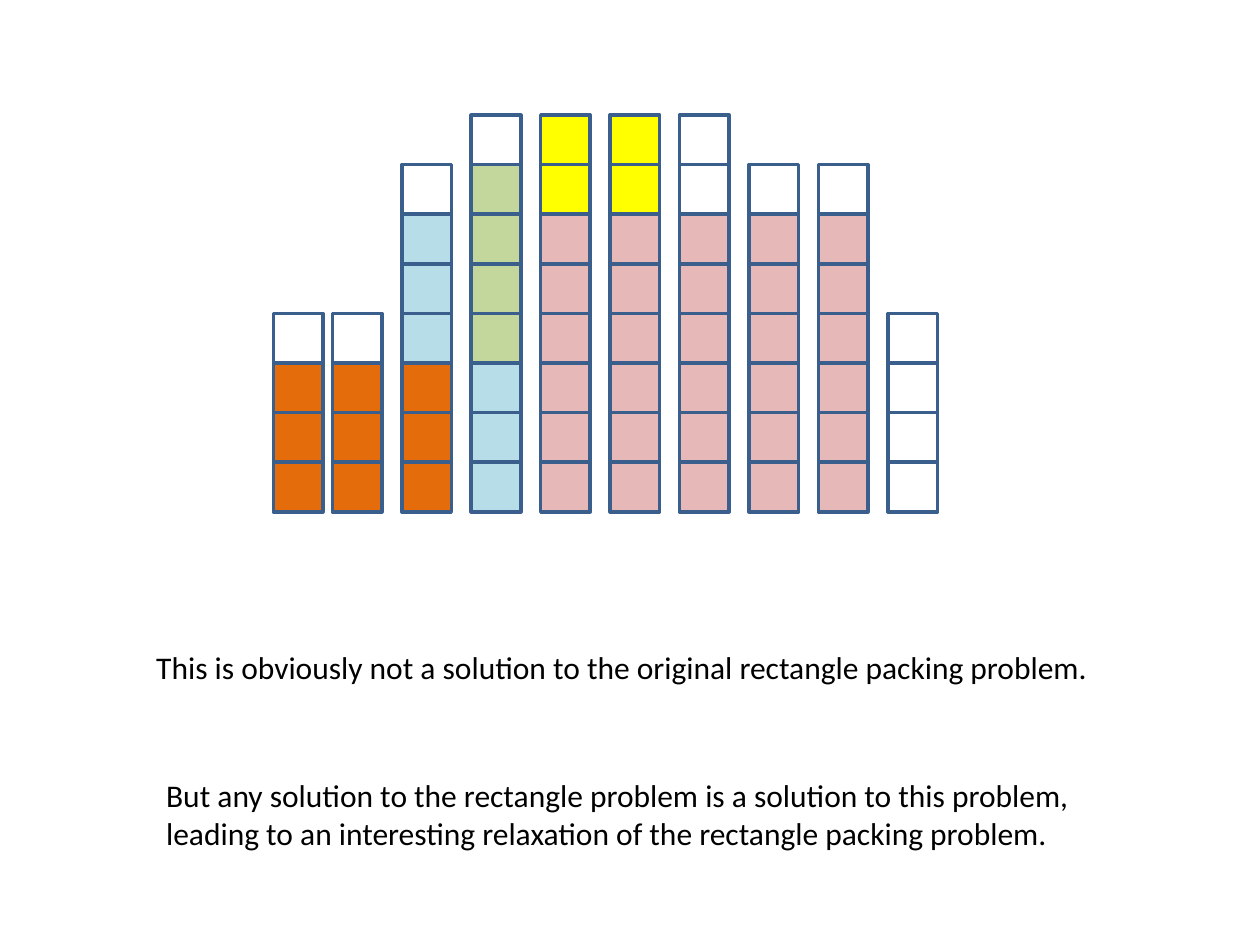
from itertools import groupby

from pptx import Presentation
from pptx import util as u
from pptx.dml.color import RGBColor
from pptx.enum import shapes, text

CELL = 1
BASELINE = 10.32
FIRST_LEFT = 5.51
SECOND_LEFT = 6.7
COLUMN_STEP = 1.4
FILLS = {
    "orange": "E46C0A",
    "blue": "B7DEE8",
    "green": "C3D69B",
    "pink": "E6B9B8",
    "yellow": "FFFF00",
}
COLUMNS = [
    [("orange", 3), ("empty", 1)],
    [("orange", 3), ("empty", 1)],
    [("orange", 3), ("blue", 3), ("empty", 1)],
    [("blue", 3), ("green", 4), ("empty", 1)],
    [("pink", 6), ("yellow", 2)],
    [("pink", 6), ("yellow", 2)],
    [("pink", 6), ("empty", 2)],
    [("pink", 6), ("empty", 1)],
    [("pink", 6), ("empty", 1)],
    [("empty", 4)],
]


def color(value):
    return RGBColor.from_string(value)


class Board:
    font = "Calibri"
    size = u.Pt(18)
    ink = "000000"
    outline = "3A5F8C"

    def __init__(self, page):
        self.page = page

    def cell(self, parent, left, top, fill):
        box = parent.add_shape(
            shapes.MSO_SHAPE.RECTANGLE, u.Cm(left), u.Cm(top), u.Cm(CELL), u.Cm(CELL)
        )
        box.shadow.inherit = False
        box.line.color.rgb = color(self.outline)
        box.line.width = u.Pt(2)
        if fill:
            box.fill.solid()
            box.fill.fore_color.rgb = color(fill)
        else:
            box.fill.background()

    def column(self, left, blocks):
        top = BASELINE
        for name, count in blocks:
            fill = FILLS.get(name)
            parent = self.page.shapes
            if fill:
                parent = parent.add_group_shape().shapes
            for _ in range(count):
                top -= CELL
                self.cell(parent, left, top, fill)

    def caption(self, left, top, width, height, words, wrap):
        box = self.page.shapes.add_textbox(
            u.Cm(left), u.Cm(top), u.Cm(width), u.Cm(height)
        )
        frame = box.text_frame
        frame.word_wrap = wrap
        frame.auto_size = text.MSO_AUTO_SIZE.SHAPE_TO_FIT_TEXT
        para = frame.paragraphs[0]
        span = para.add_run()
        span.text = words
        span.font.name = self.font
        span.font.size = self.size
        span.font.color.rgb = color(self.ink)


def main():
    deck = Presentation()
    deck.slide_width = u.Cm(25.4)
    deck.slide_height = u.Cm(19.05)
    board = Board(deck.slides.add_slide(deck.slide_layouts[6]))

    lefts = [FIRST_LEFT] + [
        SECOND_LEFT + i * COLUMN_STEP for i in range(len(COLUMNS) - 1)
    ]
    for left, blocks in zip(lefts, COLUMNS):
        board.column(left, blocks)

    board.caption(
        2.9, 12.93, 19.35, 1.02,
        "This is obviously not a solution to the original rectangle packing problem.",
        wrap=False,
    )
    board.caption(
        3.1, 15.52, 19.2, 1.8,
        "But any solution to the rectangle problem is a solution to this problem, "
        "leading to an interesting relaxation of the rectangle packing problem.",
        wrap=True,
    )
    deck.save("out.pptx")


if __name__ == "__main__":
    main()
